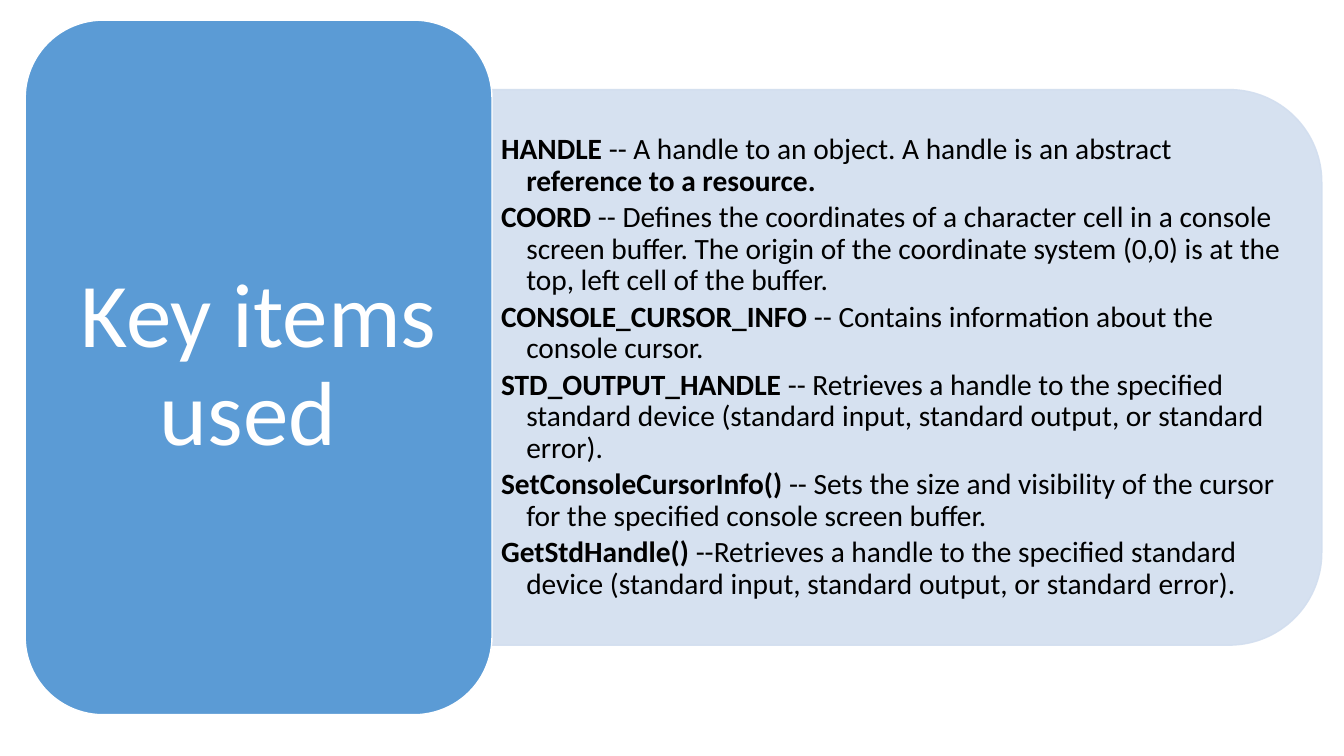
from pptx import Presentation
from pptx.dml.color import RGBColor as Rgb
from pptx.enum.shapes import MSO_SHAPE as Shape
from pptx.enum.text import MSO_ANCHOR as Anchor, PP_ALIGN as Align
from pptx.oxml.ns import qn
from pptx.util import Inches, Pt
from lxml.etree import SubElement

THEME = {
    "font": "Calibri",
    "white": Rgb.from_string("FFFFFF"),
    "black": Rgb.from_string("000000"),
    "card": Rgb.from_string("5B9BD5"),
    "panel": Rgb.from_string("D2DEEF"),
    "panel_alpha": "90000",
    "title_size": 65,
    "body_size": 21,
}

ITEMS = [
    [("HANDLE", True), (" -- A handle to an object. A handle is an abstract ", False),
     ("reference to a resource.", True)],
    [("COORD ", True),
     ("-- Defines the coordinates of a character cell in a console screen buffer. "
      "The origin of the coordinate system (0,0) is at the top, left cell of the buffer.", False)],
    [("CONSOLE_CURSOR_INFO ", True), ("-- Contains information about the console cursor.", False)],
    [("STD_OUTPUT_HANDLE ", True),
     ("-- Retrieves a handle to the specified standard device "
      "(standard input, standard output, or standard error).", False)],
    [("SetConsoleCursorInfo() ", True),
     ("-- Sets the size and visibility of the cursor for the specified console screen buffer.", False)],
    [("GetStdHandle() ", True),
     ("--Retrieves a handle to the specified standard device "
      "(standard input, standard output, or standard error).", False)],
]

deck = Presentation()
deck.slide_width, deck.slide_height = Inches(13.33), Inches(7.5)
page = deck.slides.add_slide(deck.slide_layouts[6])

# The card takes 36% of the width; the panel takes the rest at 80% of the height.
left, top = Inches(0.25), Inches(0.2)
total_width, card_height = Inches(12.86), Inches(6.89)
card_width = int(total_width * 0.36)
panel_left, panel_width = left + card_width, total_width - card_width
panel_height = int(card_height * 0.8)
panel_top = top + (card_height - panel_height) // 2
card_inset, panel_inset = Inches(0.23), Inches(0.27)


def add_block(kind, box, fill, line):
    shape = page.shapes.add_shape(kind, *box)
    shape.shadow.inherit = False
    shape.fill.solid()
    shape.fill.fore_color.rgb = fill
    shape.line.color.rgb = line
    shape.line.width = Pt(1)
    return shape


def add_text(box, margins, paragraphs, size, color, gap):
    """Add a middle-anchored text box; gap is the space after, as a share of size."""
    frame = page.shapes.add_textbox(*box).text_frame
    frame.word_wrap = True
    frame.vertical_anchor = Anchor.MIDDLE
    frame.margin_left = frame.margin_right = Inches(margins[0])
    frame.margin_top = frame.margin_bottom = Inches(margins[1])
    for index, spans in enumerate(paragraphs):
        para = frame.add_paragraph() if index else frame.paragraphs[0]
        para.line_spacing = 0.9
        para.space_after = Pt(size * gap)
        for text, bold in spans:
            span = para.add_run()
            span.text = text
            span.font.name = THEME["font"]
            span.font.size = Pt(size)
            span.font.bold = bold
            span.font.color.rgb = color
    return frame


# The panel is an upright shape turned a quarter, so its box is swapped about its centre.
turn = (panel_width - panel_height) // 2
panel = add_block(Shape.ROUND_2_SAME_RECTANGLE,
                  (panel_left + turn, panel_top - turn, panel_height, panel_width),
                  THEME["panel"], THEME["panel"])
panel.rotation = 90
for color_node in panel._element.spPr.iter(qn("a:srgbClr")):
    SubElement(color_node, qn("a:alpha"), val=THEME["panel_alpha"])

body = add_text((panel_left, panel_top + panel_inset,
                 panel_width - panel_inset, panel_height - 2 * panel_inset),
                (0.09, 0.04), ITEMS, THEME["body_size"], THEME["black"], 0.15)
for para in body.paragraphs:
    props = para._p.get_or_add_pPr()
    props.set("marL", str(Inches(0.25)))
    props.set("indent", str(-Inches(0.25)))

add_block(Shape.ROUNDED_RECTANGLE, (left, top, card_width, card_height),
          THEME["card"], THEME["white"])
title = add_text((left + card_inset, top + card_inset,
                  card_width - 2 * card_inset, card_height - 2 * card_inset),
                 (0.27, 0.14), [[("Key items used ", False)]],
                 THEME["title_size"], THEME["white"], 0.35)
title.paragraphs[0].alignment = Align.CENTER

deck.save("out.pptx")
